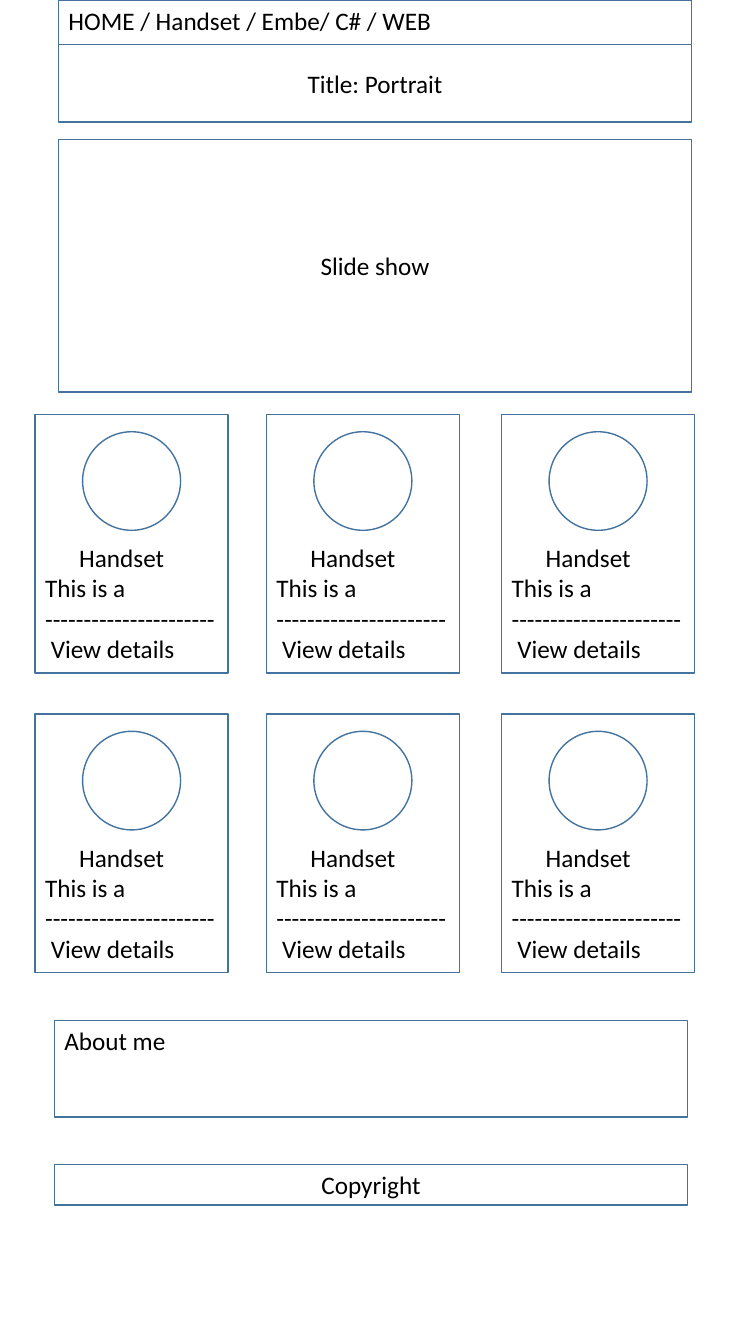
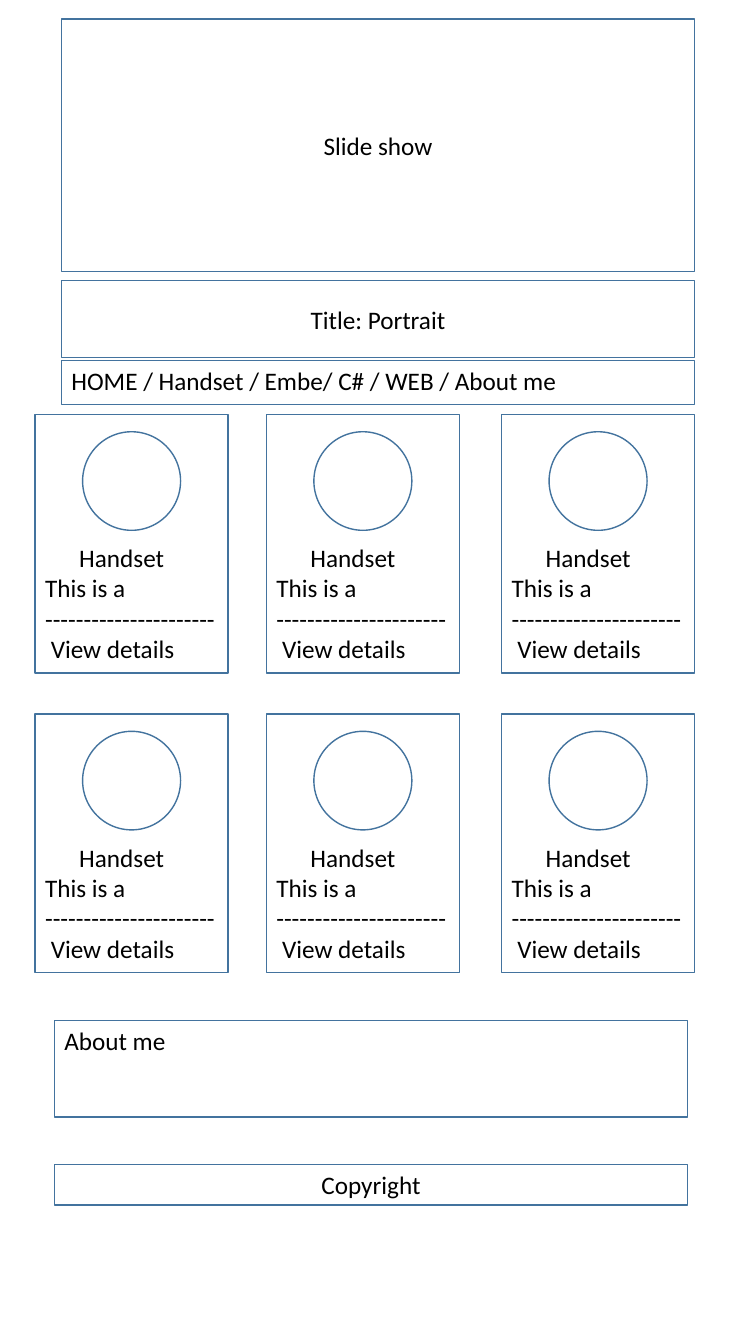
"""Build two wireframe variants of a portfolio home page."""
from itertools import product

from pptx import Presentation
from pptx.dml.color import RGBColor
from pptx.enum.shapes import MSO_SHAPE as Preset
from pptx.enum.text import MSO_ANCHOR as Anchor, MSO_AUTO_SIZE as AutoSize, PP_ALIGN as Align
from pptx.util import Pt

LINE, FILL, TEXT = "43739E", "FFFFFF", "000000"
FONT, FONT_SIZE = "Calibri", 18

TITLE = "Title: Portrait"
SLIDE_SHOW = "Slide show"
ABOUT = "About me"
COPYRIGHT = "Copyright"
CARD_LINES = [("Handset", 24.4), ("This is a " + "-" * 22, 0), ("View details", 4.1)]

PAGES = [
    {"left": 41.8, "title_top": 31.7, "menu_top": 0, "show_top": 99.5,
     "menu": "HOME / Handset / Embe/ C# / WEB"},
    {"left": 43.9, "title_top": 200.2, "menu_top": 257.5, "show_top": 13.5,
     "menu": "HOME / Handset / Embe/ C# / WEB / About me"},
]

BAND_WIDTH = 452.2
TITLE_HEIGHT, MENU_HEIGHT, SHOW_HEIGHT = 55.4, 31.7, 180.6
FOOT_LEFT = 38.9
ABOUT_TOP, ABOUT_HEIGHT = 728.8, 69
COPYRIGHT_TOP, COPYRIGHT_HEIGHT = 832, 28.8
CARD_LEFTS, CARD_TOPS = (25.1, 190.3, 358.3), (296, 510)
CARD_WIDTH, CARD_HEIGHT = 137.8, 184.8
CIRCLE_WIDTH, CIRCLE_HEIGHT, CIRCLE_DROP = 70, 70.4, 12.4
CARD_TEXT_DROP = 91.5


def color(value):
    return RGBColor.from_string(value)


def outline(shape):
    shape.fill.solid()
    shape.fill.fore_color.rgb = color(FILL)
    shape.line.color.rgb = color(LINE)
    shape.line.width = Pt(1)


def write(shape, lines, centered=False):
    frame = shape.text_frame
    frame.word_wrap = True
    frame.auto_size = AutoSize.NONE
    frame.vertical_anchor = Anchor.MIDDLE if centered else Anchor.TOP
    frame.text = "\n".join(text for text, _ in lines)
    for paragraph, (_, indent) in zip(frame.paragraphs, lines):
        paragraph.alignment = Align.CENTER if centered else Align.LEFT
        paragraph.font.name = FONT
        paragraph.font.size = Pt(FONT_SIZE)
        paragraph.font.color.rgb = color(TEXT)
        if indent:
            paragraph._p.get_or_add_pPr().set("marL", str(Pt(indent)))


def add_outline(slide, preset, *box):
    shape = slide.shapes.add_shape(preset, *map(Pt, box))
    shape.shadow.inherit = False
    outline(shape)
    return shape


def add_band(slide, text, left, top, height, centered=False):
    band = add_outline(slide, Preset.RECTANGLE, left, top, BAND_WIDTH, height)
    write(band, [(text, 0)], centered)


def place_title(slide, left, top):
    title = slide.shapes.title
    title.left, title.top = Pt(left), Pt(top)
    title.width, title.height = Pt(BAND_WIDTH), Pt(TITLE_HEIGHT)
    outline(title)
    write(title, [(TITLE, 0)], centered=True)


def add_card(slide, left, top):
    card = add_outline(slide, Preset.RECTANGLE, left, top, CARD_WIDTH, CARD_HEIGHT)
    card.text_frame.margin_top = Pt(CARD_TEXT_DROP)
    write(card, CARD_LINES)
    circle_left = left + (CARD_WIDTH - CIRCLE_WIDTH) / 2
    add_outline(slide, Preset.OVAL, circle_left, top + CIRCLE_DROP, CIRCLE_WIDTH, CIRCLE_HEIGHT)


def add_page(presentation, page):
    slide = presentation.slides.add_slide(presentation.slide_layouts.get_by_name("Title Only"))
    left = page["left"]
    place_title(slide, left, page["title_top"])
    add_band(slide, page["menu"], left, page["menu_top"], MENU_HEIGHT)
    add_band(slide, COPYRIGHT, FOOT_LEFT, COPYRIGHT_TOP, COPYRIGHT_HEIGHT, centered=True)
    for card_top, card_left in product(CARD_TOPS, CARD_LEFTS):
        add_card(slide, card_left, card_top)
    add_band(slide, ABOUT, FOOT_LEFT, ABOUT_TOP, ABOUT_HEIGHT)
    add_band(slide, SLIDE_SHOW, left, page["show_top"], SHOW_HEIGHT, centered=True)


presentation = Presentation()
presentation.slide_width, presentation.slide_height = Pt(540), Pt(960)
for page in PAGES:
    add_page(presentation, page)
presentation.save("out.pptx")
